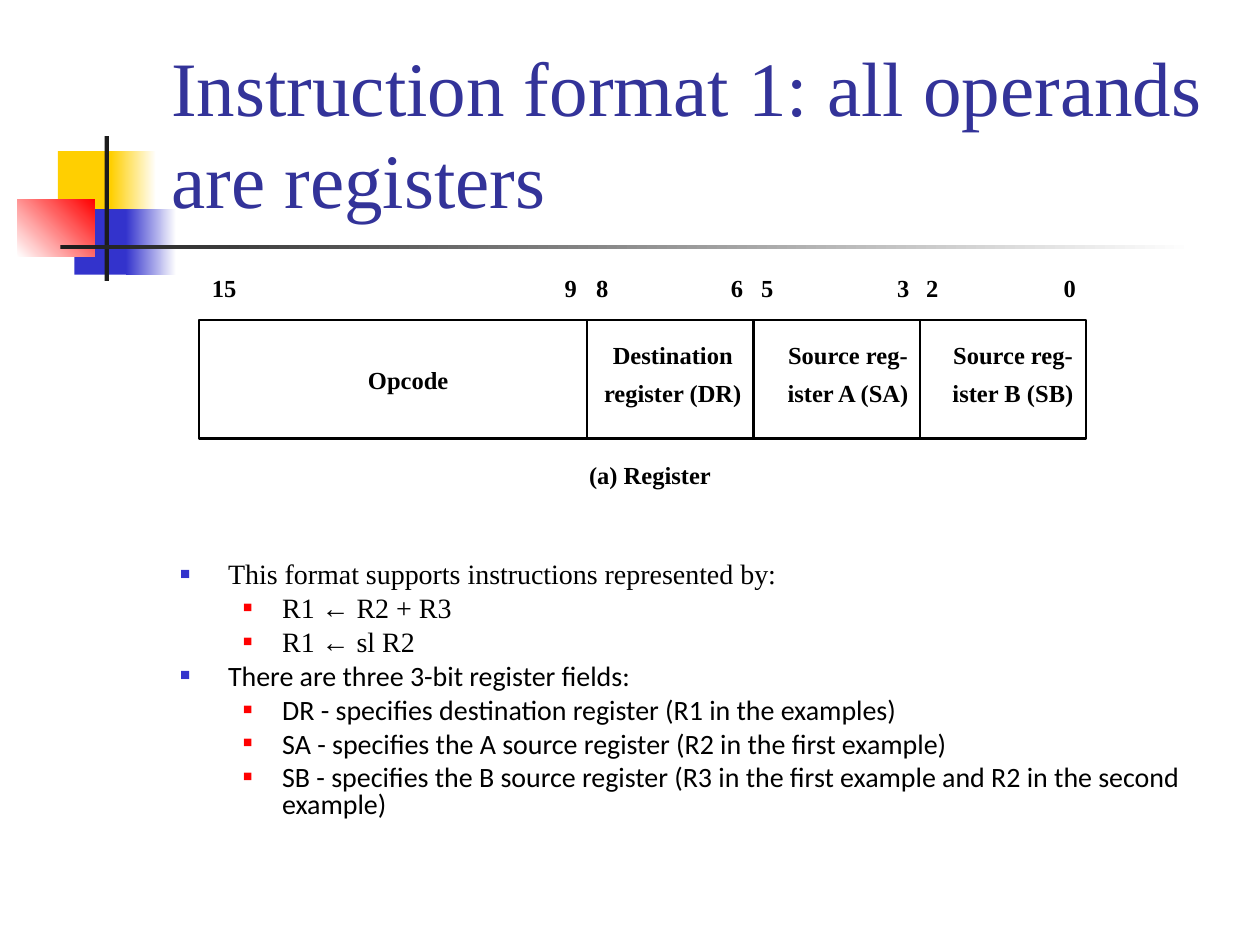
from lxml.etree import SubElement
from pptx import Presentation
from pptx.dml.color import RGBColor
from pptx.enum.shapes import MSO_CONNECTOR, MSO_SHAPE
from pptx.enum.text import MSO_ANCHOR, MSO_AUTO_SIZE, PP_ALIGN
from pptx.oxml.ns import qn
from pptx.util import Inches, Pt

COLORS = {"yellow": "FFCF01", "blue": "3333CC", "red": "FF0000", "white": "FFFFFF",
          "dark": "1C1C1C", "title": "333399", "black": "000000"}
SERIF, SANS = "Times New Roman", "Calibri"
GRID = 0.1  # inches per column and per row: 100 columns by 75 rows

# Left, top, width, height, one colour or two for a gradient, gradient angle
DECOR = [
    ((4.6, 12, 4.8, 5.2), ["yellow"], 0),
    ((8.8, 12, 3.6, 5.2), ["yellow", "white"], 0),
    ((5.9, 16.6, 4.6, 5.2), ["blue"], 0),
    ((10, 16.6, 4, 5.2), ["blue", "white"], 0),
    ((1.4, 15.8, 6.1, 4.6), ["white", "red"], 45),
    ((8.3, 10.8, 0.35, 11.5), ["dark"], 0),
    ((4.8, 19.45, 90, 0.35), ["dark", "white"], 0),
]

# High bit, low bit, inset of the high bit, shift of the caption, caption lines with widths
FIELDS = [
    (15, 9, 1, 1.2, [("Opcode", 6.7)]),
    (8, 6, 0.7, 0.2, [("Destination", 9.9), ("register (DR)", 11.3)]),
    (5, 3, 0.6, 0.9, [("Source reg-", 9.9), ("ister A (SA)", 10.1)]),
    (2, 0, 0.5, 0.8, [("Source reg-", 9.9), ("ister B (SB)", 10)]),
]
WORD_LEFT, WORD_TOP, WORD_HEIGHT, BIT = 15.8, 25.4, 9.4, 4.4
DIGIT, LOW_INSET, NUMBER_ROW = 1, 0.8, 21.7

BULLETS = [
    (0, SERIF, "This format supports instructions represented by:"),
    (1, SERIF, "R1 ← R2 + R3"),
    (1, SERIF, "R1 ← sl R2"),
    (0, SANS, "There are three 3-bit register fields:"),
    (1, SANS, "DR - specifies destination register (R1 in the examples)"),
    (1, SANS, "SA - specifies the A source register (R2 in the first example)"),
    (1, SANS, "SB - specifies the B source register (R3 in the first example "
              "and R2 in the second example)"),
]
# Left margin and hanging indent in inches, bullet colour, bullet size in percent
LEVELS = [(0.38, -0.38, "blue", 60), (0.81, -0.31, "red", 55)]


def rgb(name):
    return RGBColor.from_string(COLORS[name])


def grid(*units):
    return [Inches(u * GRID) for u in units]


def set_all(target, values):
    for name, value in values.items():
        setattr(target, name, value)


class SlideBuilder:
    def __init__(self, prs):
        self.s = prs.slides.add_slide(prs.slide_layouts[1])
        self.label_font = {"name": SERIF, "size": Pt(14), "bold": True}
        self.line_width = Pt(1.25)

    def run(self, p, text, color, font):
        r = p.add_run()
        r.text = text
        set_all(r.font, font)
        r.font.color.rgb = rgb(color)

    def block(self, at, colors, angle):
        sp = self.s.shapes.add_shape(MSO_SHAPE.RECTANGLE, *grid(*at))
        sp.shadow.inherit = False
        sp.line.fill.background()
        if len(colors) == 1:
            sp.fill.solid()
            sp.fill.fore_color.rgb = rgb(colors[0])
            return
        sp.fill.gradient()
        sp.fill.gradient_angle = angle
        for stop, position, color in zip(sp.fill.gradient_stops, (0, 1), colors):
            stop.position = position
            stop.color.rgb = rgb(color)

    def placeholder(self, index, at, anchor):
        """Move a placeholder in front of the shapes drawn so far."""
        sp = self.s.placeholders[index]
        set_all(sp, dict(zip(("left", "top", "width", "height"), grid(*at))))
        sp.element.getparent().append(sp.element)
        tf = sp.text_frame
        set_all(tf, {"word_wrap": True, "auto_size": MSO_AUTO_SIZE.NONE,
                     "vertical_anchor": anchor})
        return tf

    def title(self, text, at):
        p = self.placeholder(0, at, MSO_ANCHOR.BOTTOM).paragraphs[0]
        p.alignment = PP_ALIGN.LEFT
        self.run(p, text, "title", {"name": SERIF, "size": Pt(44)})

    def bullets(self, items, at):
        tf = self.placeholder(1, at, MSO_ANCHOR.TOP)
        for i, (level, font, text) in enumerate(items):
            p = tf.add_paragraph() if i else tf.paragraphs[0]
            margin, indent, color, size = LEVELS[level]
            pPr = p._p.get_or_add_pPr()
            pPr.set("marL", str(Inches(margin)))
            pPr.set("indent", str(Inches(indent)))
            SubElement(SubElement(pPr, qn("a:buClr")), qn("a:srgbClr"), val=COLORS[color])
            SubElement(pPr, qn("a:buSzPct"), val=str(size * 1000))
            SubElement(pPr, qn("a:buChar"), char="■")
            set_all(p, {"level": level, "line_spacing": 0.8,
                        "space_before": Pt(4 if i else 0)})
            self.run(p, text, "black", {"name": font, "size": Pt(16)})

    def label(self, text, left, top, width):
        tf = self.s.shapes.add_textbox(*grid(left, top, width, 2.3)).text_frame
        set_all(tf, {"word_wrap": False, "auto_size": MSO_AUTO_SIZE.SHAPE_TO_FIT_TEXT,
                     "margin_left": 0, "margin_right": 0,
                     "margin_top": 0, "margin_bottom": 0})
        tf.paragraphs[0].alignment = PP_ALIGN.CENTER
        self.run(tf.paragraphs[0], text, "black", self.label_font)

    def stroke(self, sp):
        sp.line.color.rgb = rgb("black")
        sp.line.width = self.line_width

    def frame(self, left, top, width, height):
        x1, y1, x2, y2 = grid(left, top, left + width, top + height)
        builder = self.s.shapes.build_freeform(x1, y1)
        builder.add_line_segments([(x2, y1), (x2, y2), (x1, y2)], close=True)
        sp = builder.convert_to_shape()
        sp.shadow.inherit = False
        sp.fill.background()
        self.stroke(sp)

    def divider(self, x, top, height):
        sp = self.s.shapes.add_connector(MSO_CONNECTOR.STRAIGHT,
                                         *grid(x, top, x, top + height))
        SubElement(sp.element.spPr, qn("a:effectLst"))
        self.stroke(sp)

    def instruction_word(self, fields):
        self.frame(WORD_LEFT, WORD_TOP, 16 * BIT, WORD_HEIGHT)
        for high, low, inset, shift, lines in fields:
            left = WORD_LEFT + (15 - high) * BIT
            right = WORD_LEFT + (16 - low) * BIT
            if high < 15:
                self.divider(left, WORD_TOP, WORD_HEIGHT)
            self.label(str(high), left + inset, NUMBER_ROW, DIGIT * len(str(high)))
            self.label(str(low), right - LOW_INSET - DIGIT, NUMBER_ROW, DIGIT)
            first_row = 29 if len(lines) == 1 else 27
            for i, (text, width) in enumerate(lines):
                center = (left + right) / 2 + shift
                self.label(text, center - width / 2, first_row + 3 * i, width)


def main():
    prs = Presentation()
    set_all(prs, {"slide_width": Inches(10), "slide_height": Inches(7.5)})
    slide = SlideBuilder(prs)
    for at, colors, angle in DECOR:
        slide.block(at, colors, angle)
    slide.title("Instruction format 1: all operands are registers", (12.6, 2.3, 85.2, 16))
    slide.bullets(BULLETS, (13.3, 44.2, 85, 22.5))
    slide.label("(a) Register", 46.6, 36.5, 10)
    slide.instruction_word(FIELDS)
    prs.save("out.pptx")


if __name__ == "__main__":
    main()
